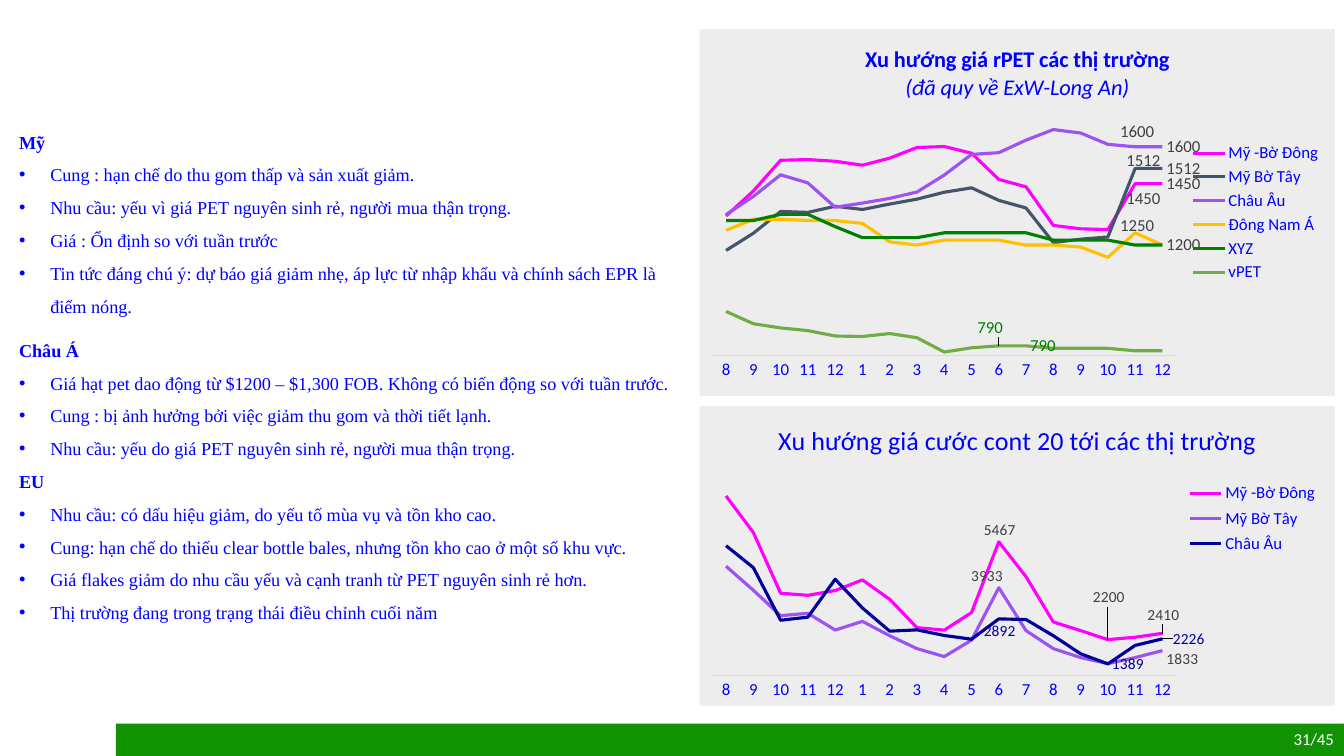
import pptx
import pptx.chart.data
import pptx.dml.color
import pptx.enum.chart
import pptx.enum.shapes
import pptx.enum.text
import pptx.oxml
import pptx.oxml.ns
import pptx.util
from pptx.util import Inches

# Theme
THEME = {
    "blue": "0000FF", "white": "FFFFFF", "footer": "119303", "panel": "EDEDED",
    "axis": "D9D9D9", "label": "404040", "magenta": "FF00FF", "slate": "44546A",
    "purple": "9D53F2", "gold": "FFC000", "green": "008000", "lime": "70AD47",
    "navy": "000099",
    "body_font": "Times New Roman", "chart_font": "Calibri",
    "body_size": 13, "small_size": 12, "line_width": 2.25,
}

# Content: heading, space before, line spacing, bullets
MARKETS = [
    ("Mỹ", 0, 1.0, [
        "Cung : hạn chế do thu gom thấp và sản xuất giảm.",
        "Nhu cầu: yếu vì giá PET nguyên sinh rẻ, người mua thận trọng.",
        "Giá : Ổn định so với tuần trước",
        "Tin tức đáng chú ý: dự báo giá giảm nhẹ, áp lực từ nhập khẩu và "
        "chính sách EPR là điểm nóng."]),
    ("Châu Á", 16, 1.0, [
        "Giá hạt pet dao động từ $1200 – $1,300 FOB. Không có biến động so với tuần trước.",
        "Cung : bị ảnh hưởng bởi việc giảm thu gom và thời tiết lạnh.",
        "Nhu cầu: yếu do giá PET nguyên sinh rẻ, người mua thận trọng."]),
    ("EU", 0, 1.5, [
        "Nhu cầu: có dấu hiệu giảm, do yếu tố mùa vụ và tồn kho cao.",
        "Cung: hạn chế do thiếu clear bottle bales, nhưng tồn kho cao ở một số khu vực.",
        "Giá flakes giảm do nhu cầu yếu và cạnh tranh từ PET nguyên sinh rẻ hơn.",
        "Thị trường đang trong trạng thái điều chỉnh cuối năm"]),
]
PAGE_NUMBER = "31/45"
MONTHS = [str(month) for month in (*range(8, 13), *range(1, 13))]

# Series: name, colour, label colour, values, {point: label shift from its right side}
CHARTS = [
    {"box": (6.94, 4.03, 6.3, 2.97), "range": (1000, 8000), "label_size": 11,
     "title": [("Xu hướng giá cước cont 20 tới các thị trường", 18.6, False, False)],
     "plot": (0.02, 0.2, 0.73, 0.7), "legend": (0.77, 0.24, 0.2, 0.27),
     "series": [
         ("Mỹ -Bờ Đông", "magenta", "label",
          [7000, 5780, 3750, 3680, 3840, 4194, 3543, 2600, 2517, 3103, 5467, 4300,
           2790, 2500, 2200, 2280, 2410],
          {10: (-0.03, -0.04), 14: (-0.03, -0.14), 16: (-0.03, -0.06)}),
         ("Mỹ Bờ Tây", "purple", "label",
          [4650, 3850, 3000, 3080, 2520, 2810, 2329, 1900, 1633, 2184, 3933, 2500,
           1900, 1600, 1400, 1600, 1833],
          {10: (-0.05, -0.04), 16: (0, 0.03)}),
         ("Châu Âu", "navy", "navy",
          [5338, 4606, 2847, 2951, 4217, 3256, 2483, 2525, 2338, 2214, 2892, 2871,
           2331, 1727, 1389, 2007, 2226],
          {10: (-0.03, 0.04), 14: (0, 0), 16: (0.01, 0)}),
     ]},
    {"box": (6.94, 0.29, 6.3, 3.64), "range": (750, 1750), "label_size": 12,
     "title": [("Xu hướng giá rPET các thị trường", 16, True, False),
               ("(đã quy về ExW-Long An)", 16, False, True)],
     "plot": (0.02, 0.22, 0.73, 0.67), "legend": (0.77, 0.3, 0.21, 0.4),
     "series": [
         ("Mỹ -Bờ Đông", "magenta", "label",
          [1318, 1420, 1545, 1548, 1541, 1525, 1554, 1597, 1601, 1574, 1467, 1437,
           1280, 1266, 1263, 1450, 1450],
          {15: (-0.02, 0.04), 16: (0, 0)}),
         ("Mỹ Bờ Tây", "slate", "label",
          [1178, 1248, 1337, 1333, 1358, 1345, 1367, 1387, 1415, 1433, 1382, 1351,
           1210, 1224, 1233, 1512, 1512],
          {15: (-0.02, -0.02), 16: (0, 0)}),
         ("Châu Âu", "purple", "label",
          [1324, 1398, 1486, 1453, 1354, 1371, 1390, 1416, 1485, 1569, 1576, 1627,
           1670, 1656, 1610, 1600, 1600],
          {15: (-0.03, -0.04), 16: (0, 0)}),
         ("Đông Nam Á", "gold", "label",
          [1260, 1305, 1305, 1300, 1300, 1288, 1213, 1200, 1220, 1220, 1220, 1200,
           1200, 1192, 1150, 1250, 1200],
          {15: (-0.03, -0.02)}),
         ("XYZ", "green", "label",
          [1300, 1300, 1325, 1325, 1275, 1230, 1230, 1230, 1250, 1250, 1250, 1250,
           1220, 1220, 1220, 1200, 1200],
          {16: (0, 0)}),
         ("vPET", "lime", "green",
          [930, 880, 863, 852, 830, 828, 840, 823, 765, 782, 790, 790, 780, 780,
           780, 770, 770],
          {10: (-0.04, -0.05), 11: (0, 0)}),
     ]},
]


def color(name):
    return pptx.dml.color.RGBColor.from_string(THEME[name])


def style_font(font, face, size, color_name, bold=False, italic=False):
    font.name, font.size = THEME[face], pptx.util.Pt(size)
    font.bold, font.italic = bold, italic
    font.color.rgb = color(color_name)


def add_run(paragraph, text, *style):
    run = paragraph.add_run()
    run.text = text
    style_font(run.font, *style)


def chart_xml(tag, body):
    namespaces = pptx.oxml.ns.nsdecls("c", "a")
    return pptx.oxml.parse_xml(f"<c:{tag} {namespaces}>{body}</c:{tag}>")


def set_layout(parent, index, inner=False, edge=True, **fractions):
    for layout in parent.findall(pptx.oxml.ns.qn("c:layout")):
        parent.remove(layout)
    body = '<c:layoutTarget val="inner"/>' if inner else ""
    if edge:
        body += '<c:xMode val="edge"/><c:yMode val="edge"/>'
    body += "".join(f'<c:{key} val="{value}"/>' for key, value in fractions.items())
    parent.insert(index, chart_xml("layout", f"<c:manualLayout>{body}</c:manualLayout>"))


def label_points(series, label_color, size, shifts):
    for index, (x, y) in shifts.items():
        label = series.points[index].data_label
        style_font(label.font, "chart_font", size, label_color)
        label.position = pptx.enum.chart.XL_LABEL_POSITION.RIGHT
        if x or y:
            set_layout(label._dLbl, 1, edge=False, x=x, y=y)
    series.data_labels.show_value = False
    series.data_labels._element.append(chart_xml(
        "extLst", '<c:ext uri="{CE6537A1-D6FC-4f65-9D91-7224C49458BB}" '
        'xmlns:c15="http://schemas.microsoft.com/office/drawing/2012/chart">'
        '<c15:showLeaderLines val="1"/></c:ext>'))


def add_trend_chart(slide, content):
    data = pptx.chart.data.CategoryChartData(number_format="0")
    data.categories = MONTHS
    for name, _, _, values, _ in content["series"]:
        data.add_series(name, values)
    chart = slide.shapes.add_chart(
        pptx.enum.chart.XL_CHART_TYPE.LINE, *map(Inches, content["box"]), data).chart
    style_font(chart.font, "chart_font", 10, "label")
    chart.element.find(pptx.oxml.ns.qn("c:txPr")).addprevious(chart_xml(
        "spPr", f'<a:solidFill><a:srgbClr val="{THEME["panel"]}"/></a:solidFill>'
        "<a:ln><a:noFill/></a:ln>"))

    # Title and legend
    chart.has_title = True
    frame = chart.chart_title.text_frame
    for index, (text, size, bold, italic) in enumerate(content["title"]):
        paragraph = frame.add_paragraph() if index else frame.paragraphs[0]
        add_run(paragraph, text, "chart_font", size, "blue", bold, italic)
    chart.has_legend = True
    chart.legend.position = pptx.enum.chart.XL_LEGEND_POSITION.RIGHT
    chart.legend.include_in_layout = False
    style_font(chart.legend.font, "chart_font", THEME["small_size"], "blue")
    set_layout(chart.legend._element, 1, **dict(zip("xywh", content["legend"])))
    set_layout(chart.element.chart.plotArea, 0, True, **dict(zip("xywh", content["plot"])))

    # Axes
    axis = chart.category_axis
    axis.major_tick_mark = pptx.enum.chart.XL_TICK_MARK.NONE
    axis.format.line.color.rgb = color("axis")
    axis.format.line.width = pptx.util.Pt(0.75)
    style_font(axis.tick_labels.font, "chart_font", THEME["small_size"], "blue")
    values_axis = chart.value_axis
    values_axis.has_major_gridlines = False
    values_axis.minimum_scale, values_axis.maximum_scale = content["range"]
    values_axis.visible = False

    # Lines and point labels
    chart.plots[0].vary_by_categories = False
    for series, (_, line, label, _, shifts) in zip(chart.plots[0].series, content["series"]):
        series.smooth = False
        series.format.line.color.rgb = color(line)
        series.format.line.width = pptx.util.Pt(THEME["line_width"])
        label_points(series, label, content["label_size"], shifts)


def add_market_notes(slide):
    frame = slide.shapes.add_textbox(*map(Inches, (0.09, 1.25, 6.85, 4.98))).text_frame
    frame.word_wrap = True
    paragraphs = [(heading, True, before, spacing) if row is None else (row, False, 0, 1.5)
                  for heading, before, spacing, rows in MARKETS for row in (None, *rows)]
    for index, (text, is_heading, before, spacing) in enumerate(paragraphs):
        paragraph = frame.add_paragraph() if index else frame.paragraphs[0]
        paragraph.line_spacing = spacing
        if before:
            paragraph.space_before = pptx.util.Pt(before)
        if not is_heading:
            properties = paragraph._p.get_or_add_pPr()
            properties.set("marL", str(Inches(0.31)))
            properties.set("indent", str(-Inches(0.31)))
            properties.append(pptx.oxml.parse_xml(
                f'<a:buFont {pptx.oxml.ns.nsdecls("a")} typeface="Arial"/>'))
            properties.append(pptx.oxml.parse_xml(
                f'<a:buChar {pptx.oxml.ns.nsdecls("a")} char="•"/>'))
        add_run(paragraph, text, "body_font", THEME["body_size"], "blue", is_heading)


def add_footer(slide):
    bar = slide.shapes.add_shape(pptx.enum.shapes.MSO_SHAPE.RECTANGLE,
                                 *map(Inches, (1.15, 7.18, 12.18, 0.32)))
    bar.shadow.inherit = False
    bar.fill.solid()
    bar.fill.fore_color.rgb = color("footer")
    bar.line.fill.background()
    number = slide.shapes.add_textbox(*map(Inches, (10.33, 7.18, 3, 0.4)))
    number.text_frame.word_wrap = True
    paragraph = number.text_frame.paragraphs[0]
    paragraph.alignment = pptx.enum.text.PP_ALIGN.RIGHT
    add_run(paragraph, PAGE_NUMBER, "chart_font", THEME["small_size"], "white")


def main():
    presentation = pptx.Presentation()
    presentation.slide_width, presentation.slide_height = Inches(13.33), Inches(7.5)
    slide = presentation.slides.add_slide(presentation.slide_layouts[6])
    add_footer(slide)
    for content in CHARTS:
        add_trend_chart(slide, content)
    add_market_notes(slide)
    presentation.save("out.pptx")


if __name__ == "__main__":
    main()
